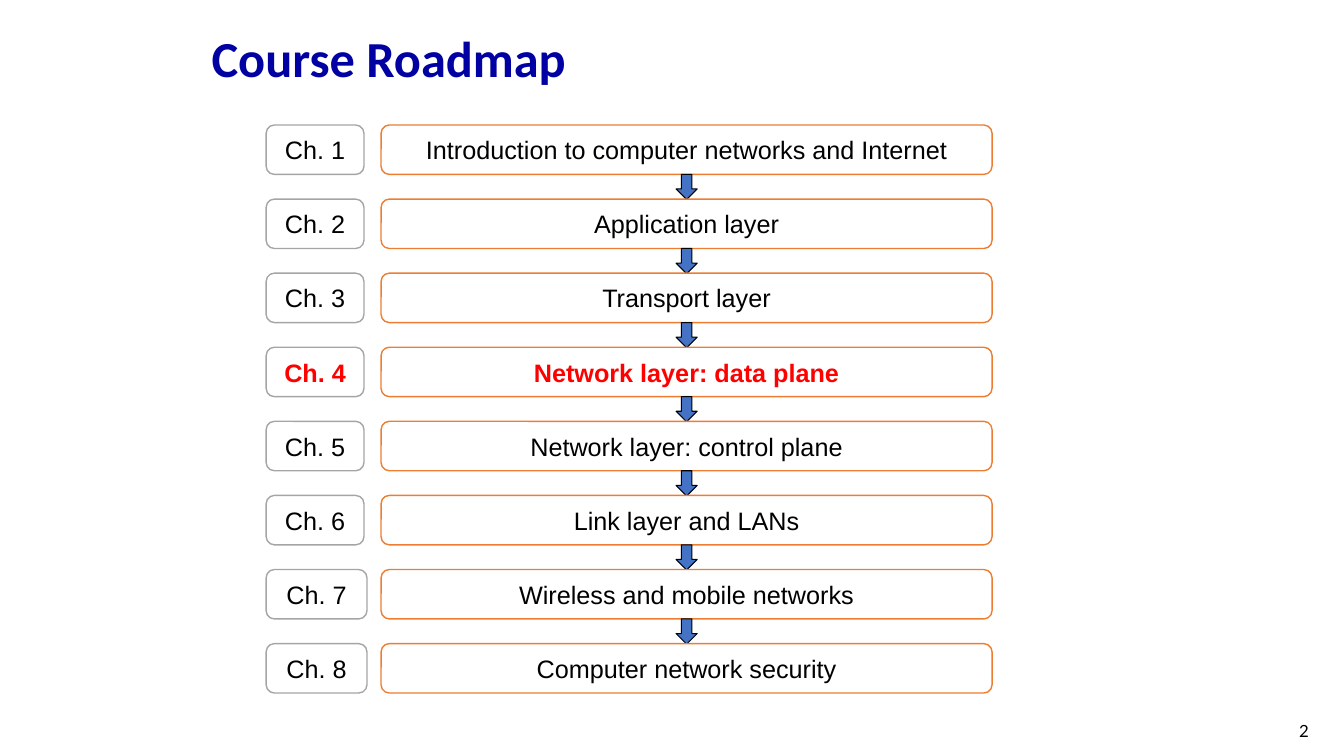
from pptx import Presentation
from pptx.dml.color import RGBColor
from pptx.enum import shapes, text
from pptx.util import Inches, Pt

TITLE = "Course Roadmap"
PAGE = "2"
CHAPTERS = [
    "Introduction to computer networks and Internet",
    "Application layer",
    "Transport layer",
    "Network layer: data plane",
    "Network layer: control plane",
    "Link layer and LANs",
    "Wireless and mobile networks",
    "Computer network security",
]
CURRENT = 4
COLORS = {
    "title": "0000A3", "text": "000000", "current": "FF0000", "box": "FFFFFF",
    "topic": "ED7D31", "chapter": "A5A5A5", "arrow": "4472C4",
}

# Layout in inches
TOP, PITCH, BOX_H = 1.24, 0.735, 0.49
CHAPTER_X, CHAPTER_W = 2.64, 0.97
WIDE_FROM, WIDE_CHAPTER_W = 7, 1.0
TOPIC_X, TOPIC_W = 3.78, 6.06
ARROW_W, ARROW_H = 0.21, 0.25

roadmap = Presentation()
roadmap.slide_width, roadmap.slide_height = Inches(13.33), Inches(7.5)
slide = roadmap.slides.add_slide(roadmap.slide_layouts[6])


def rgb(name):
    return RGBColor.from_string(COLORS[name])


def write(holder, words, size=18, font="Arial", color="text", bold=False,
          align=text.PP_ALIGN.CENTER, spacing=1.0):
    frame = holder.text_frame
    frame.word_wrap = True
    frame.vertical_anchor = text.MSO_ANCHOR.MIDDLE
    line = frame.paragraphs[0]
    line.alignment, line.line_spacing = align, spacing
    run = line.add_run()
    run.text = words
    run.font.size, run.font.name, run.font.bold = Pt(size), font, bold
    run.font.color.rgb = rgb(color)


def add_text(place, words, **style):
    write(slide.shapes.add_textbox(*map(Inches, place)), words, **style)


def add_box(kind, place, fill, line, width):
    box = slide.shapes.add_shape(kind, *map(Inches, place))
    box.shadow.inherit = False
    box.fill.solid()
    box.fill.fore_color.rgb = rgb(fill)
    box.line.color.rgb = rgb(line)
    box.line.width = Pt(width)
    return box


# Title and page number
add_text((2, 0.14, 9.17, 0.93), TITLE, size=36, font="Calibri", color="title",
         bold=True, align=text.PP_ALIGN.LEFT, spacing=0.9)
add_text((10.08, 7.05, 3, 0.4), PAGE, size=12, font="Lato",
         align=text.PP_ALIGN.RIGHT)

# One row per chapter, with an arrow down to the next
for number, topic in enumerate(CHAPTERS, 1):
    y = TOP + (number - 1) * PITCH
    chapter_w = WIDE_CHAPTER_W if number >= WIDE_FROM else CHAPTER_W
    current = number == CURRENT
    for label, x, width, edge in (
        (f"Ch. {number}", CHAPTER_X, chapter_w, "chapter"),
        (topic, TOPIC_X, TOPIC_W, "topic"),
    ):
        box = add_box(shapes.MSO_SHAPE.ROUNDED_RECTANGLE,
                      (x, y, width, BOX_H), "box", edge, 1)
        write(box, label, color="current" if current else "text", bold=current)
    if number < len(CHAPTERS):
        arrow_x = TOPIC_X + (TOPIC_W - ARROW_W) / 2
        add_box(shapes.MSO_SHAPE.DOWN_ARROW,
                (arrow_x, y + BOX_H, ARROW_W, ARROW_H), "arrow", "text", 0.75)

roadmap.save("out.pptx")
